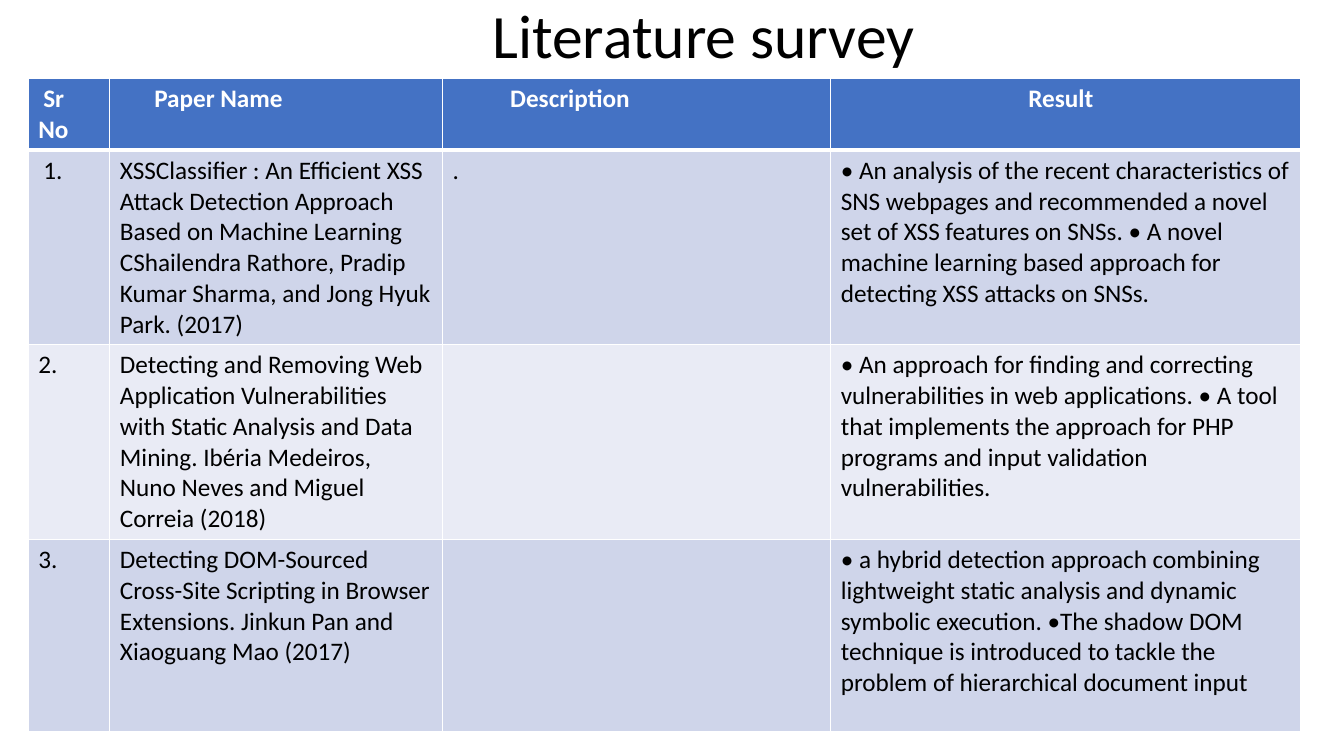
from lxml.etree import SubElement
from pptx import Presentation
from pptx.dml.color import RGBColor
from pptx.enum.text import MSO_ANCHOR, PP_ALIGN
from pptx.oxml.ns import qn
from pptx.util import Inches, Pt

BLACK = RGBColor(0x00, 0x00, 0x00)
WHITE = RGBColor(0xFF, 0xFF, 0xFF)
HEADER_BLUE = RGBColor(0x44, 0x72, 0xC4)
BAND_DARK = RGBColor(0xCF, 0xD5, 0xEA)
BAND_LIGHT = RGBColor(0xE9, 0xEB, 0xF5)

COLUMN_WIDTHS = [0.81, 3.3, 3.85, 4.66]
ROW_HEIGHTS = [0.7, 1.91, 1.91, 1.91]
HEADER_INDENTS = [0.05, 0.34, 0.57, 1.86]
NUMBER_INDENTS = [0.05, 0, 0]

HEADINGS = ["Sr No", "Paper Name", "Description", "Result"]
PAPERS = [
    ["1.",
     "XSSClassifier : An Efficient XSS Attack Detection Approach Based on Machine Learning "
     "CShailendra Rathore, Pradip Kumar Sharma, and Jong Hyuk Park. (2017)",
     ".",
     "• An analysis of the recent characteristics of SNS webpages and recommended a novel set of "
     "XSS features on SNSs. • A novel machine learning based approach for detecting XSS attacks "
     "on SNSs."],
    ["2.",
     "Detecting and Removing Web Application Vulnerabilities with Static Analysis and Data Mining. "
     "Ibéria Medeiros, Nuno Neves and Miguel Correia (2018)",
     "",
     "• An approach for finding and correcting vulnerabilities in web applications. • A tool that "
     "implements the approach for PHP programs and input validation vulnerabilities."],
    ["3.",
     "Detecting DOM-Sourced Cross-Site Scripting in Browser Extensions. "
     "Jinkun Pan and Xiaoguang Mao (2017)",
     "",
     "• a hybrid detection approach combining lightweight static analysis and dynamic symbolic "
     "execution. •The shadow DOM technique is introduced to tackle the problem of hierarchical "
     "document input"],
]


class SurveyPage:
    font_name = "Calibri"
    title_size = Pt(44)
    table_size = Pt(18)

    def __init__(self, deck):
        self.deck = deck
        self.page = deck.slides.add_slide(deck.slide_layouts[5])

    def area(self, left, top, width, height):
        """Turn shares of the slide's size into lengths."""
        across, down = self.deck.slide_width, self.deck.slide_height
        return int(left * across), int(top * down), int(width * across), int(height * down)

    def paragraph(self, frame, text, size, color, bold=False, indent=0):
        """Fill a text frame with one paragraph whose first line is indented in inches."""
        frame.text = text
        para = frame.paragraphs[0]
        para.alignment = PP_ALIGN.LEFT
        properties = para._p.get_or_add_pPr()
        properties.set("marL", "0")
        properties.set("indent", str(Inches(indent)))
        for font in [para.font] + [span.font for span in para.runs]:
            font.name, font.size, font.bold = self.font_name, size, bold
            font.color.rgb = color
        return para

    def title(self, text, left, top, width, height, indent):
        box = self.page.shapes.title
        box.left, box.top, box.width, box.height = self.area(left, top, width, height)
        frame = box.text_frame
        frame.word_wrap = True
        frame.vertical_anchor = MSO_ANCHOR.TOP
        para = self.paragraph(frame, text, self.title_size, BLACK, indent=indent)
        para.line_spacing = 0.9

    def borders(self, cell, **widths):
        properties = cell._tc.get_or_add_tcPr()
        for side in "LRTB":
            line = SubElement(properties, qn(f"a:ln{side}"), w=str(Pt(widths.get(side, 1))))
            fill = SubElement(line, qn("a:solidFill"))
            SubElement(fill, qn("a:srgbClr"), val=str(WHITE))

    def cell(self, cell, text, fill, color, bold=False, indent=0, **border_widths):
        self.paragraph(cell.text_frame, text, self.table_size, color, bold, indent)
        self.borders(cell, **border_widths)
        cell.fill.solid()
        cell.fill.fore_color.rgb = fill

    def table(self, left, top, width, height):
        place = self.area(left, top, width, height)
        table = self.page.shapes.add_table(len(ROW_HEIGHTS), len(COLUMN_WIDTHS), *place).table
        for column, column_width in zip(table.columns, COLUMN_WIDTHS):
            column.width = Inches(column_width)
        for row, row_height in zip(table.rows, ROW_HEIGHTS):
            row.height = Inches(row_height)

        for column, (heading, indent) in enumerate(zip(HEADINGS, HEADER_INDENTS)):
            self.cell(table.cell(0, column), heading, HEADER_BLUE, WHITE, True, indent, B=3)
        for row, paper in enumerate(PAPERS, start=1):
            band = BAND_DARK if row % 2 else BAND_LIGHT
            for column, text in enumerate(paper):
                indent = NUMBER_INDENTS[row - 1] if column == 0 else 0
                self.cell(table.cell(row, column), text, band, BLACK,
                          indent=indent, T=3 if row == 1 else 1)


def main():
    deck = Presentation()
    deck.slide_width, deck.slide_height = Inches(13.33), Inches(7.5)
    survey = SurveyPage(deck)
    survey.title("Literature survey", 0.07, 0, 0.86, 0.19, indent=3.85)
    survey.table(0.021, 0.104, 0.946, 0.857)
    deck.save("out.pptx")


if __name__ == "__main__":
    main()
